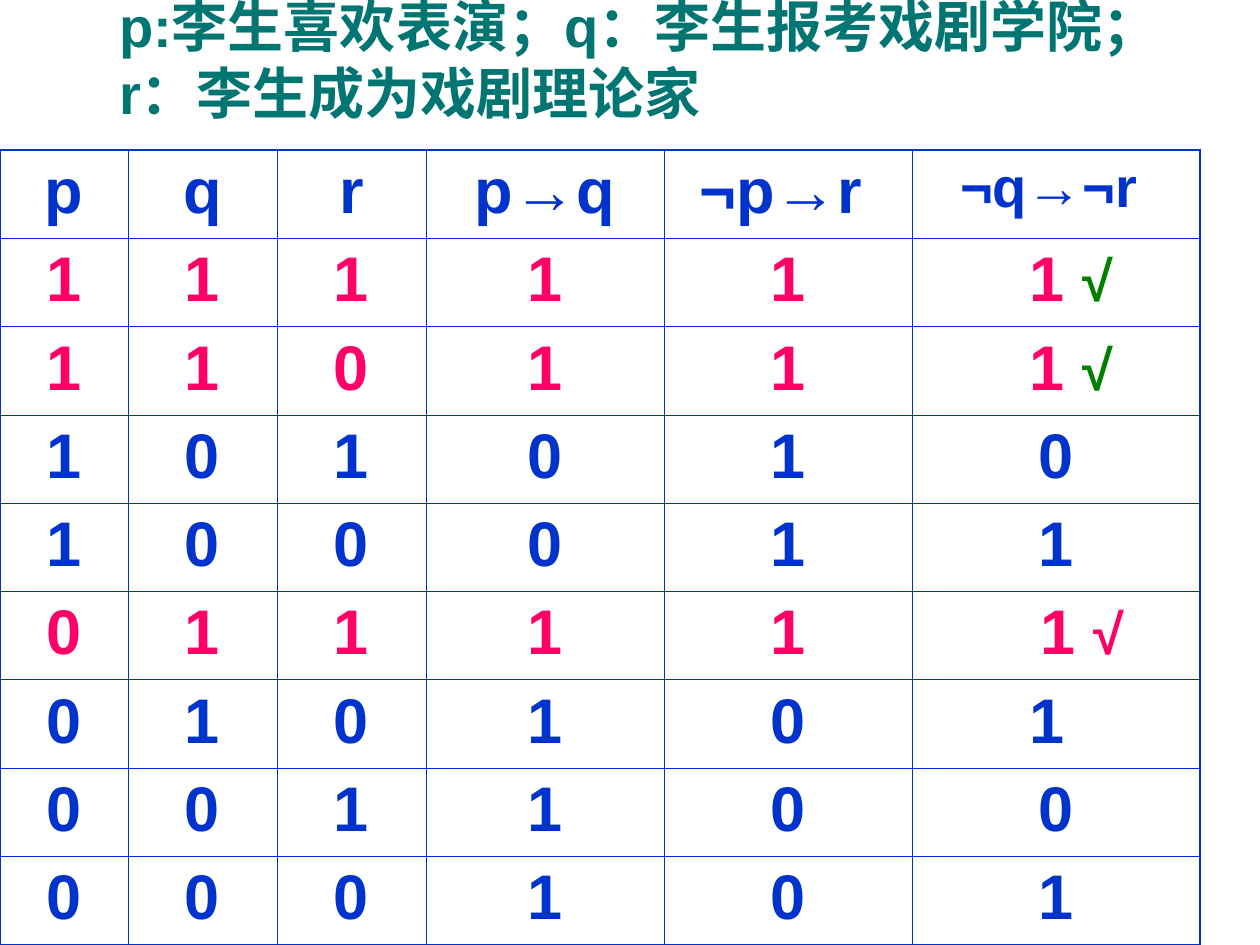
from lxml import etree
from pptx import Presentation
from pptx.dml.color import RGBColor
from pptx.enum.text import MSO_ANCHOR, MSO_AUTO_SIZE, PP_ALIGN
from pptx.oxml.ns import qn
from pptx.util import Emu, Pt

LEFT, MID = PP_ALIGN.LEFT, PP_ALIGN.CENTER
CENTER = MSO_ANCHOR.MIDDLE
FIXED = MSO_AUTO_SIZE.NONE
COLORS = {"teal": "007572", "blue": "0033CC", "pink": "FF0066", "green": "008000"}
INSET = 13
THIN, THICK = 0.45, 1.08
TITLE = "p:李生喜欢表演；q：李生报考戏剧学院；\vr：李生成为戏剧理论家"
WIDTHS = [128, 149, 149, 238, 248, 288]
ROWS = [
    ["p", "q", "r", "p→q", "¬p→r", "¬q→¬r"],
    list("11111") + ["1 √"],
    list("11011") + ["1 √"],
    list("101010"),
    list("100011"),
    list("01111") + ["1 √"],
    list("010101"),
    list("001100"),
    list("000101"),
]
PINK_ROWS = {1, 2, 5}
TICKS = {1: "green", 2: "green", 5: "pink"}
SHIFTS = {
    (0, 4): (MID, 0, 14),
    (0, 5): (MID, 0, 14),
    (1, 5): (LEFT, 105, 0),
    (2, 5): (LEFT, 105, 0),
    (5, 5): (MID, 53, 0),
    (6, 5): (LEFT, 105, 0),
}


def px(n):
    return Emu(round(n * 914400 / 126))


class Deck:
    def __init__(self, font):
        self.prs = Presentation()
        self.prs.slide_width, self.prs.slide_height = px(1260), px(945)
        self.slide = self.prs.slides.add_slide(self.prs.slide_layouts[5])
        self.font = font

    def style(self, run, size, color):
        font = run.font
        font.name, font.size, font.bold = self.font, Pt(size), True
        font.color.rgb = RGBColor.from_string(COLORS[color])

    def title(self, text, x, y, w, h, indent):
        box = self.slide.shapes.title
        box.left, box.top, box.width, box.height = map(px, (x, y, w, h))
        frame = box.text_frame
        frame.word_wrap, frame.auto_size = True, FIXED
        frame.vertical_anchor = CENTER
        frame.margin_left = px(INSET + indent)
        frame.text = text
        para = frame.paragraphs[0]
        para.alignment = LEFT
        for run in para.runs:
            self.style(run, 32, "teal")

    def edge(self, cell, side, width):
        line = etree.SubElement(cell._tc.get_or_add_tcPr(), qn("a:ln" + side), w=str(Pt(width)))
        fill = etree.SubElement(line, qn("a:solidFill"))
        etree.SubElement(fill, qn("a:srgbClr"), val=COLORS["blue"])

    def cell(self, cell, row, col, text):
        outer = {"L": col == 0, "R": col == len(WIDTHS) - 1,
                 "T": row == 0, "B": row == len(ROWS) - 1}
        for side, thick in outer.items():
            self.edge(cell, side, THICK if thick else THIN)
        cell.fill.background()
        align, left, right = SHIFTS.get((row, col), (MID, 0, 0))
        cell.margin_left, cell.margin_right = px(INSET + left), px(INSET + right)
        para = cell.text_frame.paragraphs[0]
        para.alignment = align
        main = para.add_run()
        main.text = text.rstrip("√")
        self.style(main, 32 if (row, col) == (0, 5) else 36,
                   "pink" if row in PINK_ROWS else "blue")
        if text.endswith("√"):
            tick = para.add_run()
            tick.text = "√"
            self.style(tick, 32, TICKS[row])

    def table(self, rows, widths, x, y, h):
        shape = self.slide.shapes.add_table(
            len(rows), len(widths), px(x), px(y), px(sum(widths)), px(h))
        grid = shape.table
        grid.first_row = grid.horz_banding = False
        for col, width in zip(grid.columns, widths):
            col.width = px(width)
        for r, row in enumerate(rows):
            for c, text in enumerate(row):
                self.cell(grid.cell(r, c), r, c, text)


def main():
    deck = Deck("Arial")
    deck.title(TITLE, 44, 0, 1177, 118, 62)
    deck.table(ROWS, WIDTHS, 0, 150, 795)
    deck.prs.save("out.pptx")


if __name__ == "__main__":
    main()
